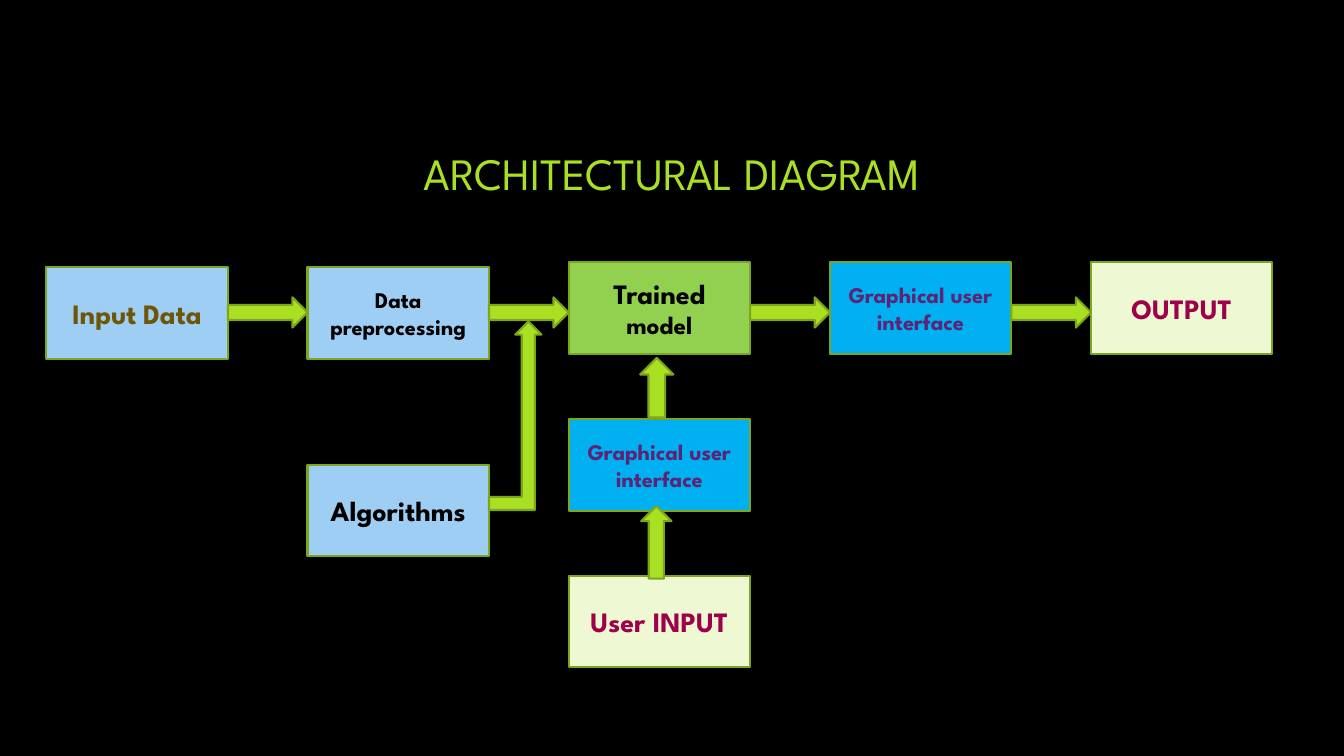
from pptx import Presentation
from pptx.dml.color import RGBColor
from pptx.enum.shapes import MSO_SHAPE
from pptx.enum.text import MSO_ANCHOR, PP_ALIGN
from pptx.util import Pt

PX = 9144
RECT = MSO_SHAPE.RECTANGLE
RIGHT = MSO_SHAPE.RIGHT_ARROW
BENT = MSO_SHAPE.BENT_UP_ARROW
MIDDLE = MSO_ANCHOR.MIDDLE
CENTER = PP_ALIGN.CENTER

FONT = "League Spartan"
LIME, EDGE = "A9E023", "7DA61A"
SKY, BLUE, GREEN, CREAM = "9FCEF5", "00B0F0", "92D050", "EEF9D3"
BLACK, BROWN, PURPLE, WINE = "000000", "6E5608", "5C2477", "9E004A"

BOX_W, BOX_H = 180, 91
LEFT, STEP = 46, 259
TOP = 260


def color(value):
    return RGBColor.from_string(value)


def place(left, top, width, height):
    return [n * PX for n in (left, top, width, height)]


def col(index):
    return LEFT + index * STEP


def write(shape, lines, ink, bold=True):
    frame = shape.text_frame
    for name, value in {"word_wrap": True, "vertical_anchor": MIDDLE}.items():
        setattr(frame, name, value)
    for index, line in enumerate(lines):
        para = frame.add_paragraph() if index else frame.paragraphs[0]
        para.alignment = CENTER
        for text, size in line:
            run = para.add_run()
            run.text = text
            run.font.color.rgb = color(ink)
            style = {"name": FONT, "size": Pt(size), "bold": bold}
            for name, value in style.items():
                setattr(run.font, name, value)


def add_form(slide, kind, area, fill, turn=0):
    shape = slide.shapes.add_shape(kind, *place(*area))
    shape.shadow.inherit = False
    shape.rotation = turn
    shape.fill.solid()
    shape.fill.fore_color.rgb = color(fill)
    shape.line.color.rgb = color(EDGE)
    shape.line.width = Pt(1.5)
    return shape


def add_box(slide, index, top, fill, ink, lines):
    area = (col(index), top, BOX_W, BOX_H)
    write(add_form(slide, RECT, area, fill), lines, ink)


def add_title(slide, text):
    box = slide.shapes.add_textbox(*place(125, 67, 1083, 208))
    write(box, [[(text, 32)]], LIME, False)


def main():
    deck = Presentation()
    deck.slide_width, deck.slide_height = 1333 * PX, 750 * PX
    slide = deck.slides.add_slide(deck.slide_layouts[6])
    slide.background.fill.solid()
    slide.background.fill.fore_color.rgb = color(BLACK)
    add_title(slide, "ARCHITECTURAL DIAGRAM")

    boxes = [
        (0, TOP + 5, SKY, BROWN, [[("Input", 20), (" ", 18), ("Data", 20)]]),
        (1, TOP + 5, SKY, BLACK, [[("Data preprocessing", 16)]]),
        (1, 461, SKY, BLACK, [[("Algorithms", 20)]]),
        (2, TOP, GREEN, BLACK, [[("Trained", 20), (" model", 18)]]),
        (3, TOP, BLUE, PURPLE, [[("Graphical user interface", 16)]]),
        (2, 416, BLUE, PURPLE, [[("Graphical user", 16)], [("interface", 16)]]),
        (2, 571, CREAM, WINE, [[("User INPUT", 20)]]),
        (4, TOP, CREAM, WINE, [[("OUTPUT", 20)]]),
    ]
    for box in boxes:
        add_box(slide, *box)

    for index in range(4):
        area = (col(index) + BOX_W, 295, STEP - BOX_W, 30)
        add_form(slide, RIGHT, area, LIME)
    for area in [(622, 368, 59, 33), (615, 523, 72, 30)]:
        add_form(slide, RIGHT, area, LIME, 270)
    add_form(slide, BENT, (485, 319, 52, 187), LIME)

    deck.save("out.pptx")


if __name__ == "__main__":
    main()
